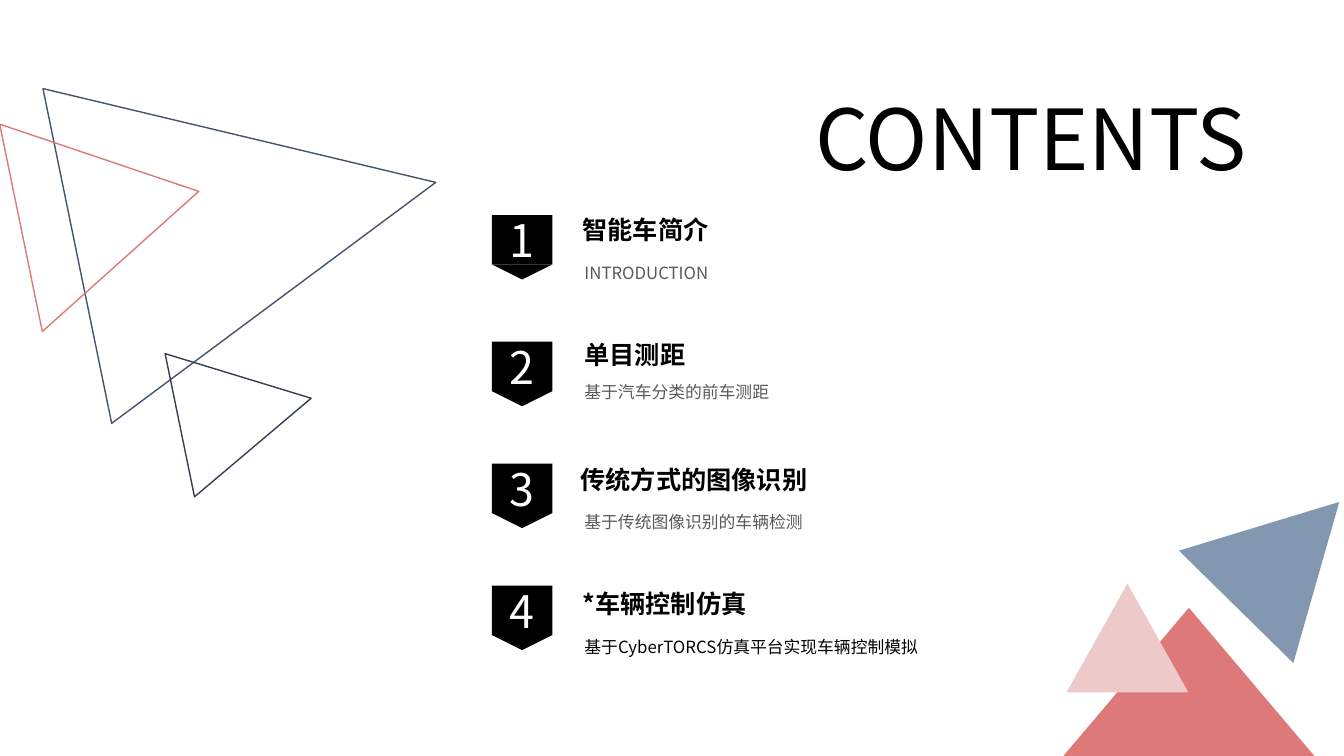
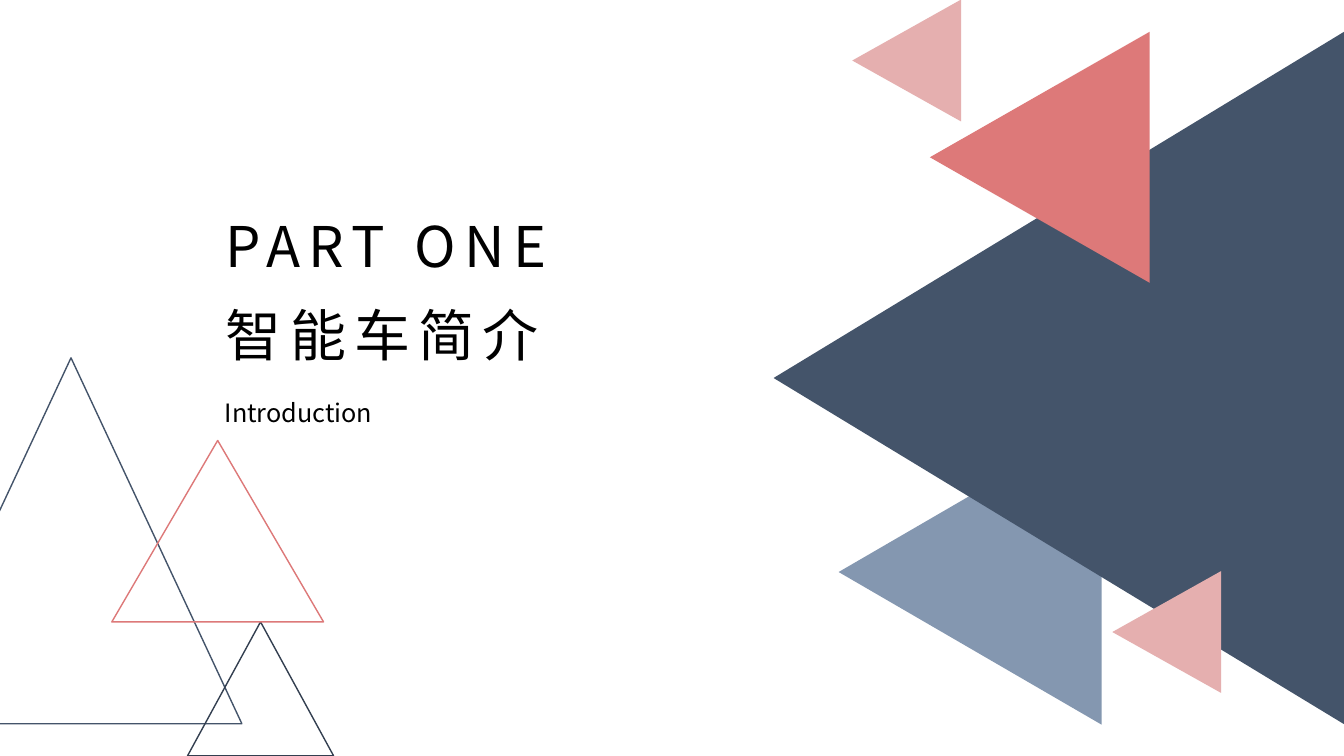
"""Build a contents slide and a section slide decorated with triangles."""
from lxml import etree
from pptx import Presentation
from pptx import util as u
from pptx.dml.color import RGBColor
from pptx.enum import shapes, text
from pptx.oxml import ns

WHITE = RGBColor(0xFF, 0xFF, 0xFF)
BLACK = RGBColor(0x00, 0x00, 0x00)
GREY = RGBColor(0x59, 0x59, 0x59)
NAVY = RGBColor(0x44, 0x54, 0x6A)
INK = RGBColor(0x33, 0x3F, 0x50)
STEEL = RGBColor(0x84, 0x97, 0xB0)
CORAL = RGBColor(0xDD, 0x79, 0x79)
ROSE = RGBColor(0xE5, 0xAF, 0xAF)
BLUSH = RGBColor(0xED, 0xC9, 0xC9)

FONT = "Noto Sans CJK SC"
COLUMNS, ROWS = 40, 22.5
CELL = u.Inches(13.333) / COLUMNS

SMALL = (3.63, 3.24)
OUTLINES = [((10.17, 10.89), NAVY), ((4.35, 3.99), INK), ((6.3, 5.4), CORAL)]

BADGE_LEFT, BADGE_WIDTH, BADGE_HEIGHT, TIP_HEIGHT = 14.64, 1.8, 1.47, 0.45
TITLE_TOP, TITLE_STEP = 5.97, 3.71
NOTE_LEFT, ITEM_WIDTH = 17.1, 10.68
ITEMS = [
    (6.4, 17.04, "智能车简介", 7.38, "INTRODUCTION", GREY),
    (10.17, 17.1, "单目测距", 10.92, "基于汽车分类的前车测距", GREY),
    (13.8, 16.98, "传统方式的图像识别", 14.79, "基于传统图像识别的车辆检测", GREY),
    (17.43, 17.04, "*车辆控制仿真", 18.51, "基于CyberTORCS仿真平台实现车辆控制模拟", BLACK),
]


def cells(*counts):
    return [u.Emu(round(count * CELL)) for count in counts]


class Painter:
    """Hold the deck, its style and the slide being drawn."""

    def __init__(self):
        self.deck = Presentation()
        self.deck.slide_width, self.deck.slide_height = cells(COLUMNS, ROWS)
        self.slide = None

    def new_slide(self):
        self.slide = self.deck.slides.add_slide(self.deck.slide_layouts[6])

    def shape(self, kind, spot, size, fill=None, line=None, turn=0):
        shape = self.slide.shapes.add_shape(kind, *cells(*spot, *size))
        shape.shadow.inherit = False
        shape.rotation = turn
        if fill is None:
            shape.fill.background()
        else:
            shape.fill.solid()
            shape.fill.fore_color.rgb = fill
        if line is None:
            shape.line.fill.background()
        else:
            shape.line.color.rgb = line
            shape.line.width = u.Pt(1)
        return shape

    def triangle(self, spot, size, **style):
        return self.shape(shapes.MSO_SHAPE.ISOSCELES_TRIANGLE, spot, size, **style)

    def outlines(self, spots, turn=0):
        for spot, (size, colour) in zip(spots, OUTLINES):
            self.triangle(spot, size, line=colour, turn=turn)

    def fill_text(self, frame, words, size, colour, bold=False, align=None,
                  leading=None, tracking=0):
        frame.word_wrap = True
        frame.text = words
        para = frame.paragraphs[0]
        para.alignment = align
        para.line_spacing = leading
        span = para.runs[0]
        span.font.name = FONT
        span.font.size = u.Pt(size)
        span.font.bold = bold
        span.font.color.rgb = colour
        props = span._r.get_or_add_rPr()
        etree.SubElement(props, ns.qn("a:ea")).set("typeface", FONT)
        if tracking:
            props.set("spc", str(tracking * 100))

    def label(self, spot, size, words, points, colour=BLACK, **style):
        box = self.slide.shapes.add_textbox(*cells(*spot, *size))
        self.fill_text(box.text_frame, words, points, colour, **style)
        box.text_frame.auto_size = text.MSO_AUTO_SIZE.SHAPE_TO_FIT_TEXT
        return box

    def heading(self, top, words):
        frame = self.label((6.33, top), (13.68, 2.43), words, 40, tracking=6).text_frame
        frame.margin_left, frame.margin_top = cells(0.39, 0.21)
        frame.margin_right, frame.margin_bottom = cells(0.39, 0.21)

    def badge(self, top, number):
        body = self.shape(shapes.MSO_SHAPE.RECTANGLE, (BADGE_LEFT, top),
                          (BADGE_WIDTH, BADGE_HEIGHT), fill=BLACK)
        self.fill_text(body.text_frame, str(number), 32, WHITE,
                       align=text.PP_ALIGN.CENTER)
        body.text_frame.vertical_anchor = text.MSO_ANCHOR.MIDDLE
        self.triangle((BADGE_LEFT, top + BADGE_HEIGHT), (BADGE_WIDTH, TIP_HEIGHT),
                      fill=BLACK, turn=180)


def contents_slide(painter):
    painter.new_slide()
    painter.outlines([(2.55, 1.08), (5.13, 10.26), (0.12, 3.54)], turn=78.4)
    painter.triangle((31.65, 18.09), (7.47, 4.41), fill=CORAL)
    painter.triangle((31.74, 17.37), SMALL, fill=BLUSH)
    painter.triangle((35.94, 14.31), (4.77, 4.38), fill=STEEL, turn=44.5)
    painter.label((22.92, 2.43), (15.51, 3.33), "CONTENTS", 60,
                  align=text.PP_ALIGN.CENTER)
    for index, (badge_top, left, title, note_top, note, colour) in enumerate(ITEMS):
        painter.badge(badge_top, index + 1)
        painter.label((left, TITLE_TOP + index * TITLE_STEP), (ITEM_WIDTH, 1.38),
                      title, 18, bold=True, leading=1.3)
        painter.label((NOTE_LEFT, note_top), (ITEM_WIDTH, 1.11), note, 12, colour,
                      leading=1.5)


def section_slide(painter):
    painter.new_slide()
    for spot, size, colour in [
        ((24.33, 13.11), (9.09, 7.83), STEEL),
        ((21.21, 2.76), (20.61, 16.98), NAVY),
        ((27.21, 1.41), (7.47, 6.54), CORAL),
        ((25.17, 0.18), SMALL, ROSE),
        ((32.91, 17.19), SMALL, ROSE),
    ]:
        painter.triangle(spot, size, fill=colour, turn=270)
    painter.outlines([(-2.97, 10.65), (5.58, 18.51), (3.33, 13.11)])
    painter.heading(6.09, "PART ONE")
    painter.heading(8.73, "智能车简介")
    painter.label((6.39, 11.55), (19.02, 1.26), "Introduction", 18, leading=1.14)


def main():
    painter = Painter()
    contents_slide(painter)
    section_slide(painter)
    painter.deck.save("out.pptx")


if __name__ == "__main__":
    main()
